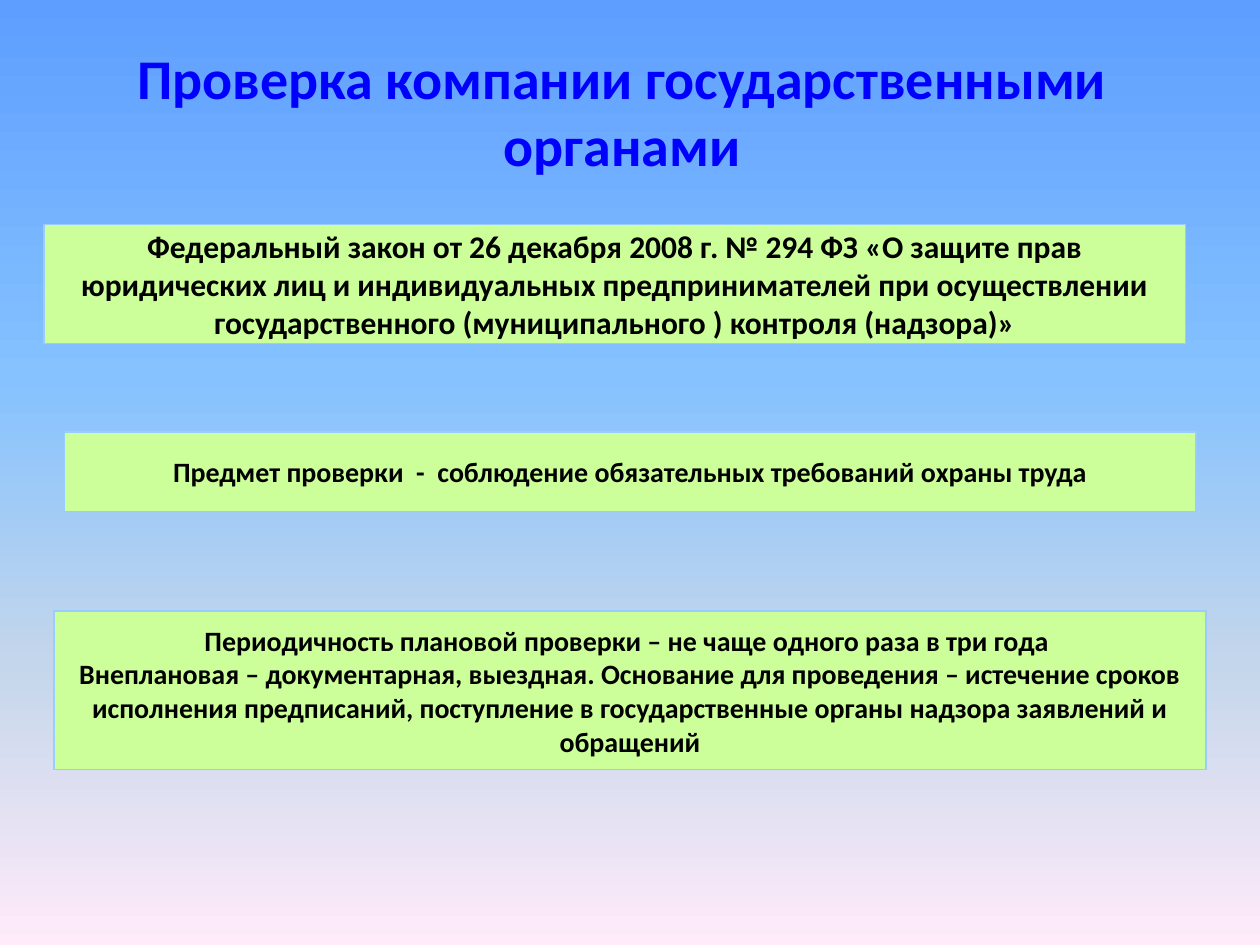
from lxml import etree
from pptx import Presentation
from pptx.dml.color import RGBColor
from pptx.enum.shapes import MSO_SHAPE
from pptx.enum.text import MSO_ANCHOR, PP_ALIGN
from pptx.oxml.ns import qn
from pptx.util import Cm, Pt

PROCESS = MSO_SHAPE.FLOWCHART_PROCESS
MIDDLE, BOTTOM = MSO_ANCHOR.MIDDLE, MSO_ANCHOR.BOTTOM
CENTER = PP_ALIGN.CENTER

FONT = "Calibri"
BLUE, BLACK, GREEN, PALE_BLUE = "0000FF", "000000", "CCFF99", "99CCFF"

# Content: places are left, top, width, height in cm
SKY = [(0, "5E9EFF"), (40, "85C2FF"), (70, "C4D6EB"), (100, "FFEBFA")]
TITLE = "Проверка компании государственными органами"
TITLE_PLACE = (1.19, 1.12, 22.71, 2.59)
PANELS = [
    ((0.89, 4.52, 23.01, 2.41), 18, [
        "Федеральный закон от 26 декабря 2008 г. № 294 ФЗ «О защите прав "
        "юридических лиц и индивидуальных предпринимателей при осуществлении "
        "государственного (муниципального ) контроля (надзора)»"]),
    ((1.3, 8.71, 22.81, 1.6), 16, [
        "Предмет проверки  -  соблюдение обязательных требований охраны труда"]),
    ((1.09, 12.32, 23.22, 3.2), 16, [
        "Периодичность плановой проверки – не чаще одного раза в три года ",
        "Внеплановая – документарная, выездная. Основание для проведения – "
        "истечение сроков исполнения предписаний, поступление в "
        "государственные органы надзора заявлений и обращений"]),
]


def color(value):
    return RGBColor.from_string(value)


def write(shape, lines, size, ink, anchor):
    frame = shape.text_frame
    frame.word_wrap = True
    frame.vertical_anchor = anchor
    frame.text = "\n".join(lines)
    for paragraph in frame.paragraphs:
        paragraph.alignment = CENTER
        font = paragraph.font
        font.name, font.size, font.bold = FONT, Pt(size), True
        font.color.rgb = color(ink)


def paint_background(page, stops):
    fill = page.background.fill
    fill.gradient()
    fill.gradient_angle = 270
    stop_list = next(page.element.iter(qn("a:gsLst")))
    for old_stop in list(stop_list):
        stop_list.remove(old_stop)
    for percent, value in stops:
        stop = etree.SubElement(stop_list, qn("a:gs"), pos=str(percent * 1000))
        etree.SubElement(stop, qn("a:srgbClr"), val=value)


deck = Presentation()
deck.slide_width, deck.slide_height = Cm(25.4), Cm(19.05)
page = deck.slides.add_slide(deck.slide_layouts[6])
paint_background(page, SKY)

# Title
title = page.shapes.add_textbox(*map(Cm, TITLE_PLACE))
write(title, [TITLE], 32, BLUE, BOTTOM)

# Green panels
for place, size, lines in PANELS:
    panel = page.shapes.add_shape(PROCESS, *map(Cm, place))
    panel.shadow.inherit = False
    panel.fill.solid()
    panel.fill.fore_color.rgb = color(GREEN)
    panel.line.color.rgb = color(PALE_BLUE)
    panel.line.width = Pt(0.75)
    write(panel, lines, size, BLACK, MIDDLE)

deck.save("out.pptx")
